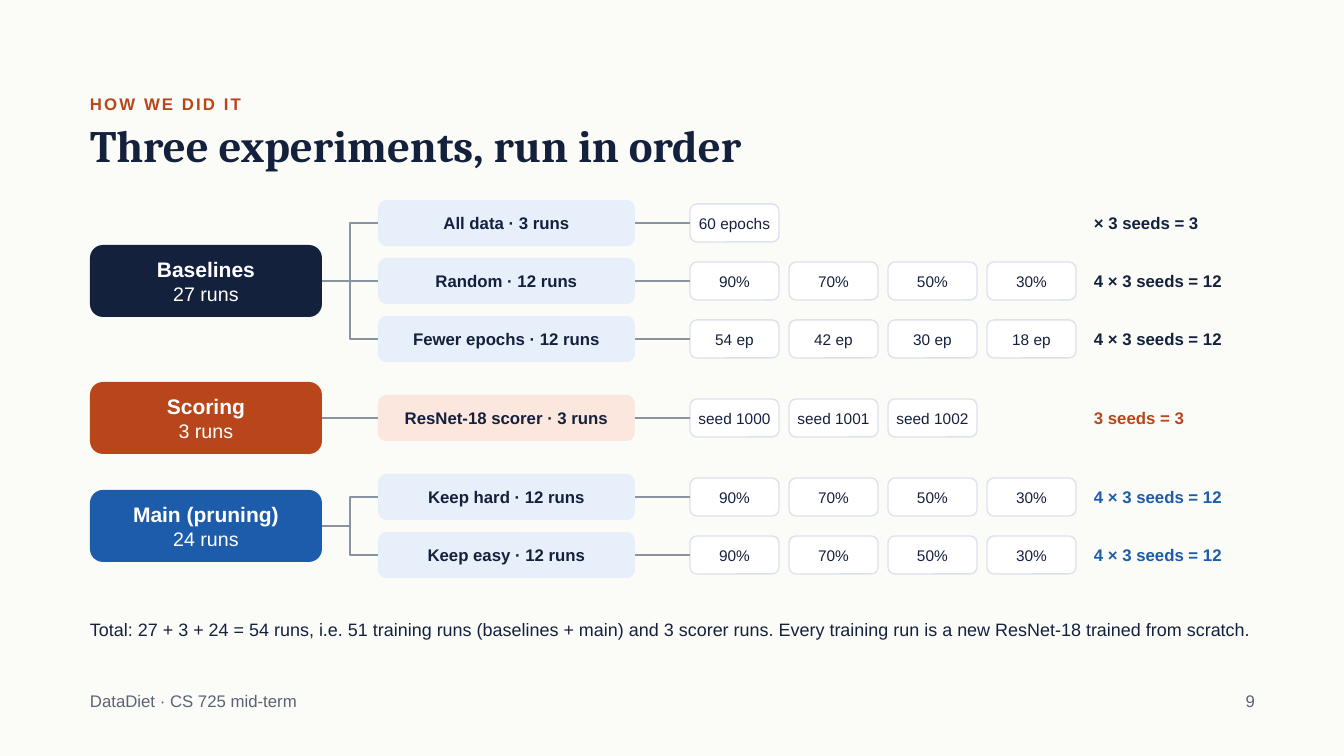
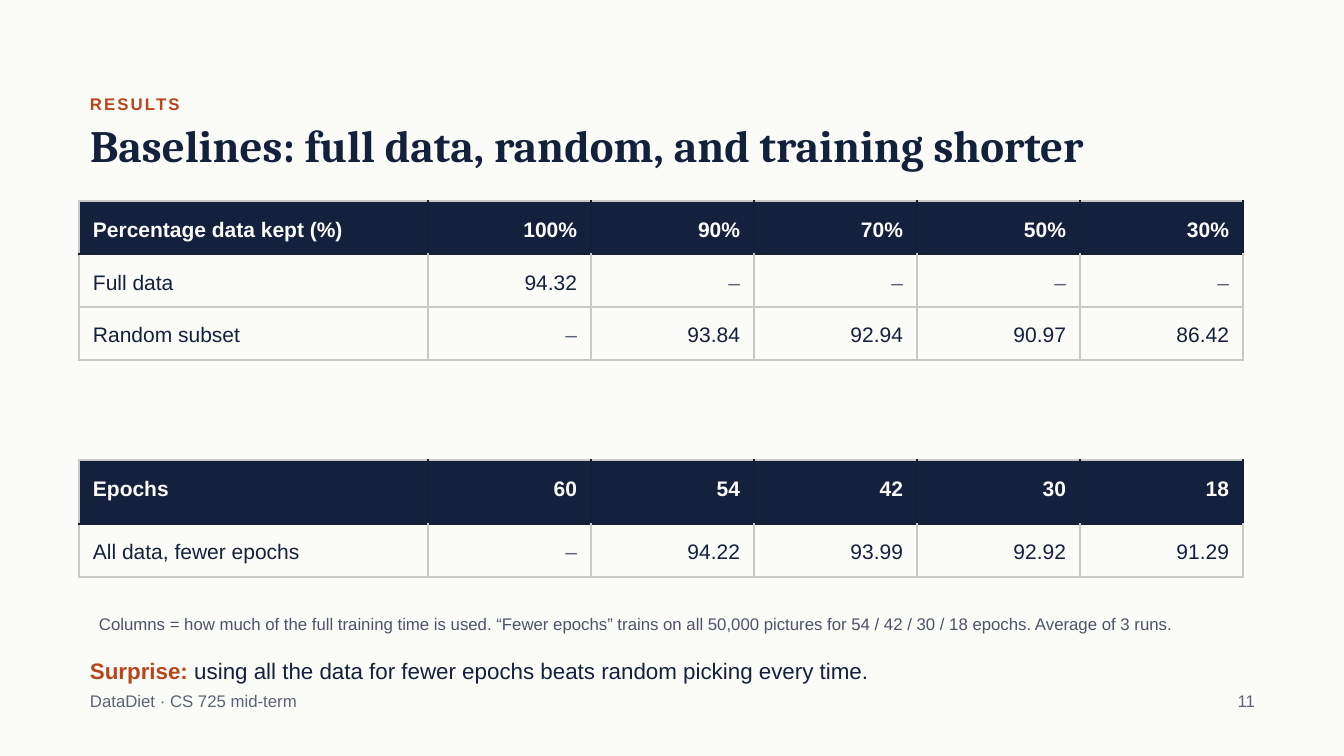
"""Builds two slides on the data-pruning runs: the experiment plan and the baseline results."""
from dataclasses import dataclass

from lxml import etree
from pptx import Presentation
from pptx.dml.color import RGBColor
from pptx.enum.shapes import MSO_CONNECTOR, MSO_SHAPE
from pptx.enum.text import MSO_ANCHOR, MSO_AUTO_SIZE, PP_ALIGN
from pptx.oxml.ns import qn
from pptx.util import Emu, Pt


@dataclass(frozen=True)
class Theme:
    paper: str = "FBFBF8"
    white: str = "FFFFFF"
    navy: str = "14213D"
    rust: str = "B8461A"
    blue: str = "1C5CAB"
    pale_blue: str = "E6EFFA"
    pale_rust: str = "FBE7DD"
    chip_edge: str = "DDE3EC"
    wire: str = "8A94A0"
    muted: str = "5B6475"
    slate: str = "4A5568"
    rule: str = "C8C8C6"
    header_rule: str = "141E34"
    heading_font: str = "Cambria"
    body_font: str = "Arial"
    title: float = 32
    callout: float = 16
    group: float = 15
    count: float = 14
    summary: float = 12.8
    label: float = 12
    chip: float = 11


THEME = Theme()
LEFT, TEXT_WIDTH = 90, 1200


def px(length):
    return Emu(round(length * 914400 / 100.8))


def rgb(color):
    return RGBColor.from_string(color)


class Deck:
    def __init__(self, theme):
        self.theme = theme
        self.prs = Presentation()
        self.prs.slide_width, self.prs.slide_height = px(1344), px(756)
        background = self.prs.slide_master.background.fill
        background.solid()
        background.fore_color.rgb = rgb(theme.paper)
        self.slide = None

    def set_text(self, frame, lines, align=PP_ALIGN.LEFT, leading=None,
                 anchor=MSO_ANCHOR.TOP, inset=(0, 0), font=None, tracking=0):
        frame.word_wrap = True
        frame.auto_size = MSO_AUTO_SIZE.NONE
        frame.vertical_anchor = anchor
        frame.margin_left = frame.margin_right = px(inset[0])
        frame.margin_top = frame.margin_bottom = px(inset[1])
        for index, line in enumerate(lines):
            paragraph = frame.add_paragraph() if index else frame.paragraphs[0]
            paragraph.alignment = align
            if leading:
                paragraph.line_spacing = Pt(leading)
            for text, size, color, bold in line:
                run = paragraph.add_run()
                run.text = text
                run.font.name = font or self.theme.body_font
                run.font.size = Pt(size)
                run.font.bold = bold
                run.font.color.rgb = rgb(color)
                if tracking:
                    run.font._element.set("spc", str(round(tracking * 100)))

    def text(self, x, y, width, height, runs, **style):
        box = self.slide.shapes.add_textbox(px(x), px(y), px(width), px(height))
        self.set_text(box.text_frame, [runs], **style)

    def new_slide(self, section, title, page):
        t = self.theme
        self.slide = self.prs.slides.add_slide(self.prs.slide_layouts[5])
        heading = self.slide.shapes.title
        heading.left, heading.top = px(LEFT), px(122)
        heading.width, heading.height = px(TEXT_WIDTH), px(52)
        self.set_text(heading.text_frame, [[(title, t.title, t.navy, True)]],
                      leading=35.2, font=t.heading_font)
        self.text(LEFT, 90, TEXT_WIDTH, 26, [(section, t.label, t.rust, True)],
                  leading=16.8, tracking=1.5)
        self.text(LEFT, 687, 249, 26,
                  [("DataDiet · CS 725 mid-term", t.label, t.muted, False)], leading=16.8)
        self.text(1215, 687, 40, 26, [(page, t.label, t.muted, False)],
                  leading=16.8, align=PP_ALIGN.RIGHT)

    def box(self, x, middle, width, height, fill, lines, edge=None):
        shape = self.slide.shapes.add_shape(
            MSO_SHAPE.ROUNDED_RECTANGLE, px(x), px(middle - height / 2), px(width), px(height))
        shape.adjustments[0] = 0.18
        shape.shadow.inherit = False
        shape.fill.solid()
        shape.fill.fore_color.rgb = rgb(fill)
        if edge:
            shape.line.color.rgb = rgb(edge)
            shape.line.width = Pt(1)
        else:
            shape.line.fill.background()
        self.set_text(shape.text_frame, lines, align=PP_ALIGN.CENTER,
                      anchor=MSO_ANCHOR.MIDDLE, inset=(6, 2))
        return shape

    def connect(self, start, end, bent):
        kind = MSO_CONNECTOR.ELBOW if bent else MSO_CONNECTOR.STRAIGHT
        wire = self.slide.shapes.add_connector(kind, 0, 0, 0, 0)
        wire.begin_connect(start, 3)
        wire.end_connect(end, 1)
        wire.line.color.rgb = rgb(self.theme.wire)
        wire.line.width = Pt(1.5)
        etree.SubElement(wire._element.spPr, qn("a:effectLst"))

    def border(self, cell, side, color):
        properties = cell._tc.get_or_add_tcPr()
        line = etree.SubElement(properties, qn(f"a:ln{side}"), w=str(Pt(1)))
        fill = etree.SubElement(line, qn("a:solidFill"))
        etree.SubElement(fill, qn("a:srgbClr"), val=color)

    def table(self, x, y, widths, heights, rows):
        table = self.slide.shapes.add_table(
            len(rows), len(widths), px(x), px(y), px(sum(widths)), px(sum(heights))).table
        table.first_row = table.horz_banding = False
        for column, width in zip(table.columns, widths):
            column.width = px(width)
        for r, (values, height) in enumerate(zip(rows, heights)):
            table.rows[r].height = px(height)
            for c, value in enumerate(values):
                self.fill_cell(table.cell(r, c), value, r, c)

    def fill_cell(self, cell, value, r, c):
        t = self.theme
        header = r == 0
        inner = t.header_rule if header else t.rule
        sides = {"L": inner if c else t.rule, "R": inner,
                 "T": t.header_rule if r == 1 else t.rule, "B": inner}
        for side, color in sides.items():
            self.border(cell, side, color)
        if header:
            cell.fill.solid()
            cell.fill.fore_color.rgb = rgb(t.navy)
        else:
            cell.fill.background()
        cell.margin_left = cell.margin_right = px(14)
        cell.margin_top = cell.margin_bottom = px(11)
        color = t.paper if header else t.muted if value == "–" else t.navy
        paragraph = cell.text_frame.paragraphs[0]
        paragraph.alignment = PP_ALIGN.RIGHT if c else PP_ALIGN.LEFT
        paragraph.line_spacing = Pt(21)
        run = paragraph.add_run()
        run.text = value
        run.font.name, run.font.size, run.font.bold = t.body_font, Pt(t.group), header
        run.font.color.rgb = rgb(color)

    def experiment(self, name, count, fill, branch_fill, tally_color, first, pitch, branches):
        t = self.theme
        group = self.box(LEFT, first + pitch * (len(branches) - 1) / 2, 232, 72, fill,
                         [[(name, t.group, t.white, True)], [(count, t.count, t.white, False)]])
        for index, (label, chips, tally) in enumerate(branches):
            middle = first + index * pitch
            branch = self.box(378, middle, 257, 46, branch_fill,
                              [[(label, t.label, t.navy, True)]])
            self.connect(group, branch, bent=index * 2 != len(branches) - 1)
            settings = [self.box(690 + 99 * i, middle, 89, 38, t.white,
                                 [[(chip, t.chip, t.navy, False)]], t.chip_edge)
                        for i, chip in enumerate(chips)]
            self.connect(branch, settings[0], bent=False)
            self.text(1094, middle - 23, 160, 46, [(tally, t.label, tally_color, True)],
                      anchor=MSO_ANCHOR.MIDDLE)


def plan_slide(deck):
    t = deck.theme
    deck.new_slide("HOW WE DID IT", "Three experiments, run in order", "9")
    kept = ["90%", "70%", "50%", "30%"]
    four_settings = "4 × 3 seeds = 12"
    experiments = [
        ("Baselines", "27 runs", t.navy, t.pale_blue, t.navy, [
            ("All data · 3 runs", ["60 epochs"], "× 3 seeds = 3"),
            ("Random · 12 runs", kept, four_settings),
            ("Fewer epochs · 12 runs", [f"{n} ep" for n in (54, 42, 30, 18)], four_settings)]),
        ("Scoring", "3 runs", t.rust, t.pale_rust, t.rust, [
            ("ResNet-18 scorer · 3 runs", [f"seed {n}" for n in range(1000, 1003)],
             "3 seeds = 3")]),
        ("Main (pruning)", "24 runs", t.blue, t.pale_blue, t.blue, [
            ("Keep hard · 12 runs", kept, four_settings),
            ("Keep easy · 12 runs", kept, four_settings)]),
    ]
    middle, pitch, group_gap = 223, 58, 21
    for *look, branches in experiments:
        deck.experiment(*look, middle, pitch, branches)
        middle += pitch * len(branches) + group_gap
    deck.text(LEFT, 613, TEXT_WIDTH, 50, [(
        "Total: 27 + 3 + 24 = 54 runs, i.e. 51 training runs (baselines + main) and 3 scorer runs. "
        "Every training run is a new ResNet-18 trained from scratch.",
        t.summary, t.navy, False)], leading=19.6)


def results_slide(deck):
    t = deck.theme
    deck.new_slide("RESULTS", "Baselines: full data, random, and training shorter", "11")
    widths = [349] + [163] * 5
    deck.table(79, 201, widths, [53] * 3, [
        ["Percentage data kept (%)", "100%", "90%", "70%", "50%", "30%"],
        ["Full data", "94.32", "–", "–", "–", "–"],
        ["Random subset", "–", "93.84", "92.94", "90.97", "86.42"]])
    deck.table(79, 460, widths, [64, 53], [
        ["Epochs", "60", "54", "42", "30", "18"],
        ["All data, fewer epochs", "–", "94.22", "93.99", "92.92", "91.29"]])
    deck.text(99, 610, TEXT_WIDTH, 27, [(
        "Columns = how much of the full training time is used. “Fewer epochs” trains on all "
        "50,000 pictures for 54 / 42 / 30 / 18 epochs. Average of 3 runs.",
        t.label, t.slate, False)], leading=17.4)
    deck.text(LEFT, 653, TEXT_WIDTH, 34, [
        ("Surprise:", t.callout, t.rust, True),
        (" using all the data for fewer epochs beats random picking every time.",
         t.callout, t.navy, False)], leading=22.4)


deck = Deck(THEME)
plan_slide(deck)
results_slide(deck)
deck.prs.save("out.pptx")
